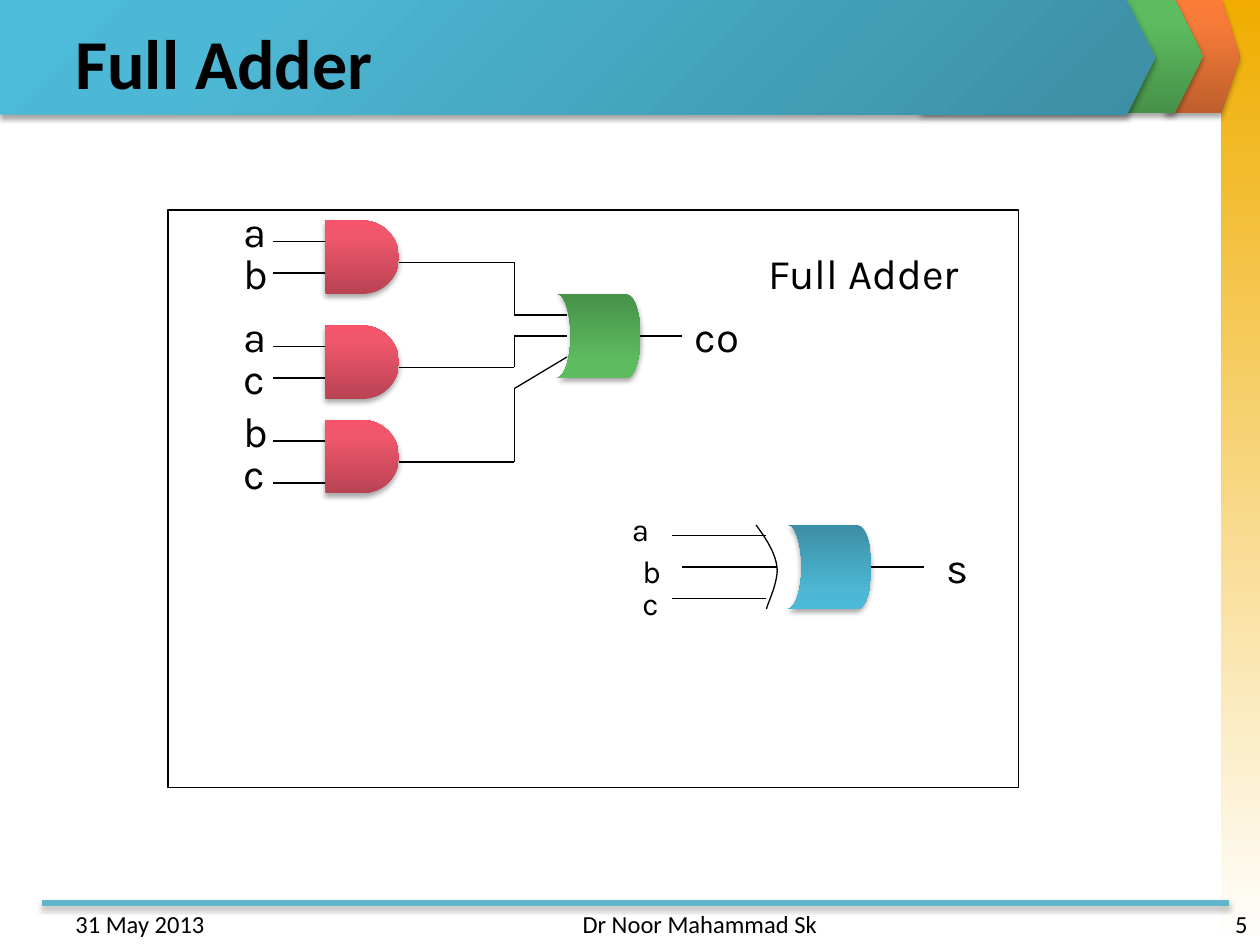
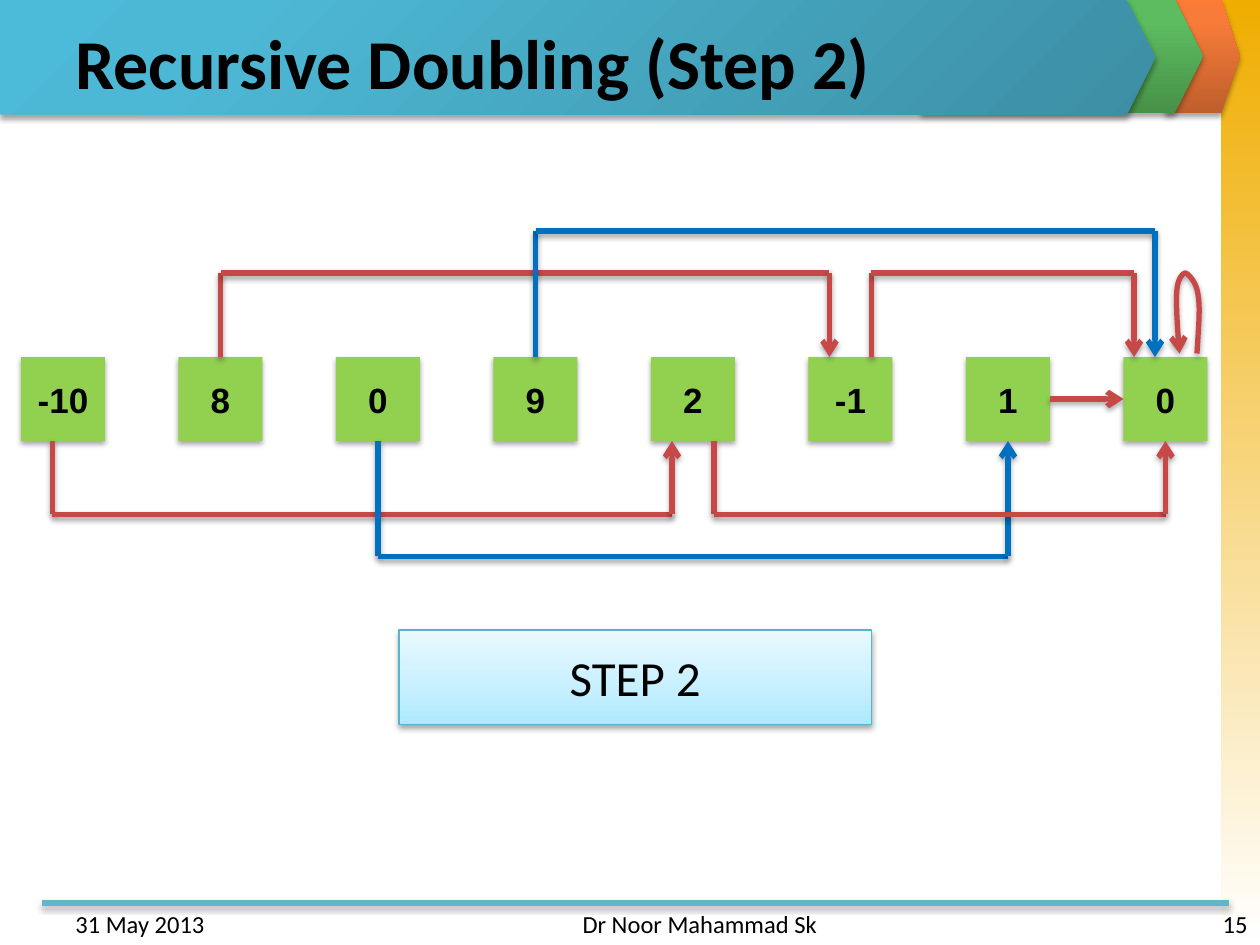
from itertools import pairwise

from pptx import Presentation
from pptx.dml.color import RGBColor
from pptx.enum.shapes import MSO_CONNECTOR, MSO_SHAPE as SHAPE
from pptx.enum.text import MSO_ANCHOR as ANCHOR, PP_ALIGN as ALIGN
from pptx.oxml import parse_xml
from pptx.oxml.ns import nsdecls, qn
from pptx.util import Pt

BLACK, RED, BLUE, LIME = "000000", "C64847", "0070C0", "92D050"
RULE, STEP_EDGE = "60B5CC", "5BB3CA"
YELLOW_FADE = [(0, "F0AD00"), (100, "FFFFFF")]
ORANGE_FADE = [(0, "BE5F2C"), (80, "F77B39"), (100, "FC7B35")]
GREEN_FADE = [(0, "479149"), (80, "5DBC5F"), (100, "5BBF5E")]
TEAL_FADE = [(0, "3C8EA4"), (80, "4DB8D5"), (100, "4BBBD9")]
PINK_FADE = [(0, "B94353"), (80, "F1576C"), (100, "F5546B")]
ICE_FADE = [(0, "ADE9FF"), (35, "C5EFFF"), (100, "E9F9FF")]
UPWARD = '<a:lin ang="16200000" scaled="0"/>'
DOWNWARD = '<a:lin ang="5400000" scaled="0"/>'
FROM_CORNER = '<a:path path="circle"><a:fillToRect l="100000" t="100000"/></a:path>'


def color(value):
    return RGBColor.from_string(value)


def set_shadow(shape, visible):
    """Give the shape its own effect list, with the soft shadow or empty."""
    props = shape._element.spPr
    for effects in props.findall(qn("a:effectLst")):
        props.remove(effects)
    shadow = (
        '<a:outerShdw blurRad="40000" dist="23000" dir="5400000" rotWithShape="0">'
        '<a:srgbClr val="000000"><a:alpha val="35000"/></a:srgbClr></a:outerShdw>'
    )
    props.append(parse_xml(
        f'<a:effectLst {nsdecls("a")}>{shadow if visible else ""}</a:effectLst>'))


def set_gradient(shape, stops, direction):
    shape.fill.gradient()
    props = shape._element.spPr
    marks = "".join(
        f'<a:gs pos="{place * 1000}"><a:srgbClr val="{value}"/></a:gs>'
        for place, value in stops)
    props.replace(props.find(qn("a:gradFill")), parse_xml(
        f'<a:gradFill {nsdecls("a")} rotWithShape="1">'
        f'<a:gsLst>{marks}</a:gsLst>{direction}</a:gradFill>'))


def set_line(shape, value, width, arrow=False):
    shape.line.color.rgb = color(value)
    shape.line.width = Pt(width)
    if arrow:
        shape._element.spPr.find(qn("a:ln")).append(
            parse_xml(f'<a:tailEnd {nsdecls("a")} type="arrow"/>'))


def write(shape, text, size, font, bold=False, align=ALIGN.LEFT, anchor=ANCHOR.TOP):
    frame = shape.text_frame
    frame.word_wrap = True
    frame.vertical_anchor = anchor
    para = frame.paragraphs[0]
    para.alignment = align
    span = para.add_run()
    span.text = text
    formats = {"size": Pt(size), "name": font, "bold": bold}
    for name, value in formats.items():
        setattr(span.font, name, value)
    span.font.color.rgb = color(BLACK)


def add_label(page, box, text, size=24, font="Karla", **style):
    write(page.shapes.add_textbox(*map(Pt, box)), text, size, font, **style)


def add_block(page, kind, box, fill=None, direction=UPWARD, edge=None, shadow=True):
    """Add a preset shape; fill is a hex colour, a list of stops or None."""
    block = page.shapes.add_shape(kind, *map(Pt, box))
    if fill is None:
        block.fill.background()
    elif isinstance(fill, str):
        block.fill.solid()
        block.fill.fore_color.rgb = color(fill)
    else:
        set_gradient(block, fill, direction)
    if edge:
        set_line(block, edge, 0.75)
    else:
        block.line.fill.background()
    block.shadow.inherit = False
    set_shadow(block, shadow)
    return block


def add_route(page, points, value=BLACK, width=0.75, arrow=False, shadow=False, joints=None):
    """Run connectors through the points, joining ends that meet a joint."""
    joints = joints or {}
    for start, end in pairwise(points):
        wire = page.shapes.add_connector(MSO_CONNECTOR.STRAIGHT, *map(Pt, start + end))
        set_line(wire, value, width, arrow and end == points[-1])
        set_shadow(wire, shadow)
        if start in joints:
            wire.begin_connect(*joints[start])
        if end in joints:
            wire.end_connect(*joints[end])


def add_curve(page, start, bends, value=BLACK, width=0.75, arrow=False, shadow=False):
    """Draw cubic curves; each bend holds two control points and an end."""
    steps = 12
    points = []
    origin = start
    for bend in bends:
        knots = (origin, *bend)
        for step in range(1, steps + 1):
            t = step / steps
            weights = ((1 - t) ** 3, 3 * t * (1 - t) ** 2, 3 * t * t * (1 - t), t ** 3)
            points.append(tuple(
                Pt(sum(w * knot[axis] for w, knot in zip(weights, knots)))
                for axis in (0, 1)))
        origin = bend[-1]
    builder = page.shapes.build_freeform(Pt(start[0]), Pt(start[1]))
    builder.add_line_segments(points, close=False)
    curve = builder.convert_to_shape()
    curve.fill.background()
    set_line(curve, value, width, arrow)
    set_shadow(curve, shadow)


def shift(left, top, points):
    return [(left + x, top + y) for x, y in points]


def add_page(deck, title, number):
    page = deck.slides.add_slide(deck.slide_layouts[6])
    add_block(page, SHAPE.RECTANGLE, (698, 0, 22, 540), YELLOW_FADE, DOWNWARD, shadow=False)
    add_route(page, [(24, 516), (702, 516)], RULE, 3, shadow=True)
    for box, fade, direction in (
        ((666, -0.7, 42.5, 65.5), ORANGE_FADE, UPWARD),
        ((526.5, -0.7, 161, 65.5), GREEN_FADE, UPWARD),
        ((0, 0, 660, 65.5), TEAL_FADE, FROM_CORNER),
    ):
        chevron = add_block(page, SHAPE.PENTAGON, box, fade, direction)
        chevron.adjustments[0] = 0.25
    add_label(page, (36, 10, 648, 50), title, 40, "Calibri", bold=True, anchor=ANCHOR.MIDDLE)
    for left, width, text, align in (
        (36, 168, "31 May 2013", ALIGN.LEFT),
        (246, 228, "Dr Noor Mahammad Sk", ALIGN.RIGHT),
        (552, 168, str(number), ALIGN.RIGHT),
    ):
        add_label(page, (left, 516, width, 18), text, 14, "Calibri", align=align)
    return page


def add_or_gate(page, left, top, fade):
    gate = add_block(page, SHAPE.FLOWCHART_STORED_DATA, (left, top, 48, 48), fade)
    gate.rotation = 180


def draw_carry(page, left, top):
    """Three AND gates feed one OR gate."""
    bend, or_input = 162, 192
    for gate_top, inputs, second_input, bend_y, or_y in (
        (12, "ab", 30, 66, 66),
        (72, "ac", 30, 78, 78),
        (126, "bc", 36, 108, 90),
    ):
        y = top + gate_top
        add_block(page, SHAPE.FLOWCHART_DELAY, (left + 54, y, 42, 42), PINK_FADE)
        for name, wire_y, label_y in zip(inputs, (12, second_input), (-12, 12)):
            add_route(page, shift(left, y, [(24, wire_y), (54, wire_y)]))
            add_label(page, (left, y + label_y, 30, 36), name)
        out = gate_top + 24
        add_route(page, shift(
            left, top, [(96, out), (bend, out), (bend, bend_y), (or_input, or_y)]))
    add_or_gate(page, left + 186, top + 54, GREEN_FADE)
    add_route(page, shift(left, top, [(234, 78), (258, 78)]))
    add_label(page, (left + 258, top + 60, 48, 36), "co")


def draw_sum(page, left, top):
    """One XOR gate with three inputs."""
    for name, label_x, label_y, wire_x, wire_y in (
        ("a", 0, 0, 30, 18), ("b", 6, 24, 36, 36), ("c", 6, 42, 30, 54),
    ):
        add_label(page, (left + label_x, top + label_y, 30, 29), name, 18)
        add_route(page, shift(left, top, [(wire_x, wire_y), (wire_x + 54, wire_y)]))
    add_curve(page, (left + 78, top + 12), [
        shift(left, top, [(84, 20), (89, 28), (90, 36)]),
        shift(left, top, [(91, 44), (85, 56), (84, 60)]),
    ])
    add_or_gate(page, left + 96, top + 12, TEAL_FADE)
    add_route(page, shift(left, top, [(144, 36), (174, 36)]))
    add_label(page, (left + 180, top + 18, 30, 36), "s")


def draw_full_adder(page, left, top, width, height):
    draw_carry(page, left + 36, top - 6)
    draw_sum(page, left + 258, top + 168)
    add_block(page, SHAPE.RECTANGLE, (left, top, width, height), edge=BLACK, shadow=False)
    add_label(page, (left + 336, top + 18, 144, 36), "Full Adder")


def draw_doubling(page, left, top, side=48, pitch=90):
    """A row of values and the arrows that carry each to its partner."""
    joints = {}
    half = side / 2
    for index, value in enumerate(("-10", "8", "0", "9", "2", "-1", "1", "0")):
        x = left + index * pitch
        cell = add_block(page, SHAPE.RECTANGLE, (x, top, side, side), LIME)
        write(cell, value, 20, "Arial", bold=True, align=ALIGN.CENTER, anchor=ANCHOR.MIDDLE)
        middles = [(half, 0), (0, half), (half, side), (side, half)]
        for site, point in enumerate(shift(x, top, middles)):
            joints[point] = (cell, site)

    pen = {"width": 3, "arrow": True, "shadow": True}
    for value, start, end, edge, reach in (
        (RED, 18, 372, side, 90),
        (BLUE, 204, 564, side, 114),
        (RED, 396, 654, side, 90),
        (RED, 114, 462, 0, -48),
        (BLUE, 294, 648, 0, -72),
        (RED, 486, 636, 0, -48),
    ):
        points = [(start, edge), (start, reach), (end, reach), (end, edge)]
        add_route(page, shift(left, top, points), value, joints=joints, **pen)
    last = 7 * pitch
    add_route(page, shift(left, top, [(last - pitch + side, half), (last, half)]),
              RED, joints=joints, **pen)
    add_curve(page, (left + 672, top - 2), [
        shift(left, top, [(672.7, -15), (674, -27), (672.7, -35)]),
        shift(left, top, [(672, -42), (667.7, -47), (665.5, -48)]),
        shift(left, top, [(664, -48), (661, -45), (660.5, -38)]),
        shift(left, top, [(659.8, -31), (661, -14), (662, -2)]),
    ], RED, **pen)


def draw_step(page, box, text):
    step = add_block(page, SHAPE.RECTANGLE, box, ICE_FADE, edge=STEP_EDGE)
    write(step, text, 28, "Calibri", align=ALIGN.CENTER, anchor=ANCHOR.MIDDLE)


def main():
    deck = Presentation()
    deck.slide_width, deck.slide_height = Pt(720), Pt(540)
    page = add_page(deck, "Full Adder", 5)
    draw_full_adder(page, 96, 120, 486, 330)
    page = add_page(deck, "Recursive Doubling (Step 2)", 15)
    draw_step(page, (228, 360, 270, 54), "STEP 2")
    draw_doubling(page, 12, 204)
    deck.save("out.pptx")


if __name__ == "__main__":
    main()
